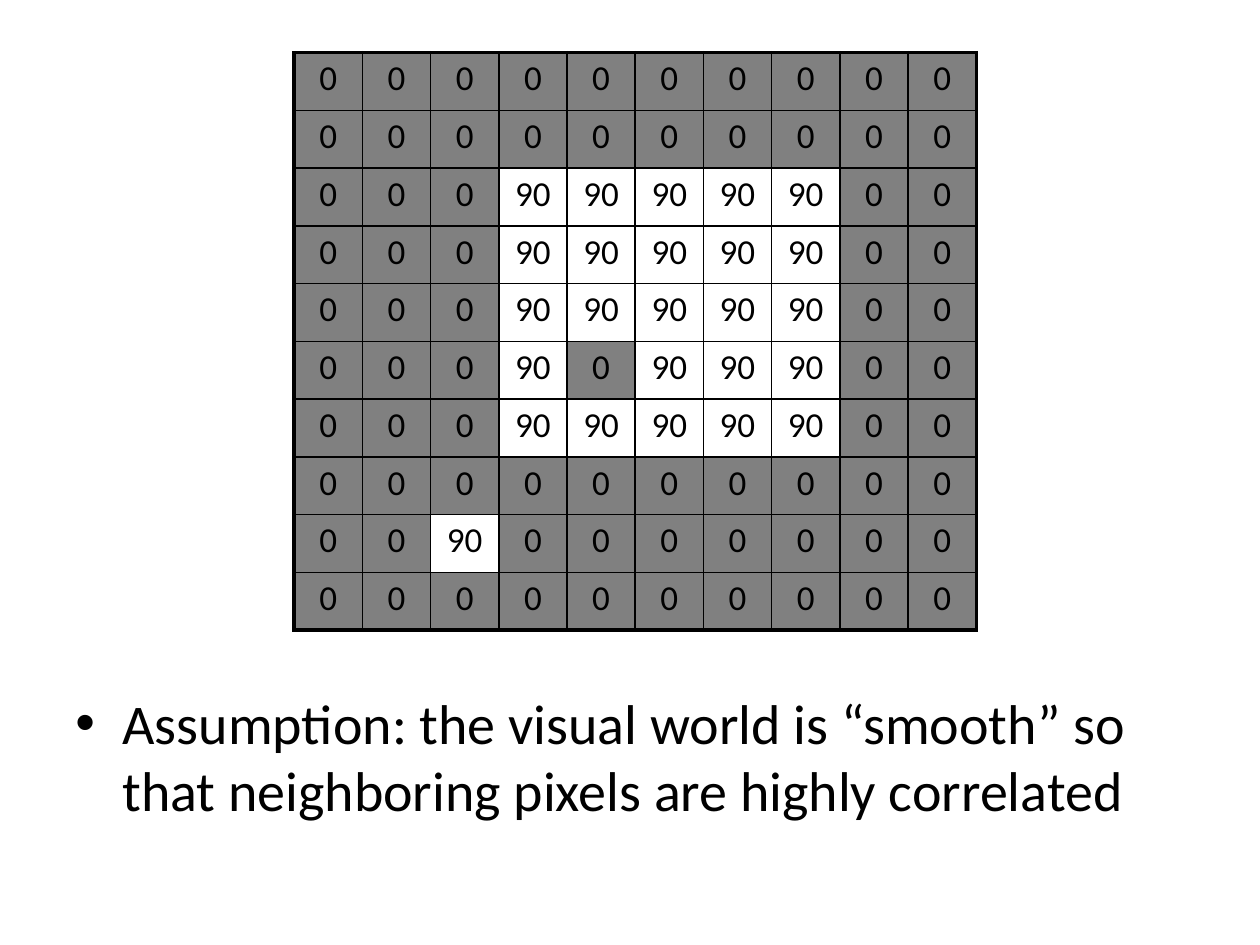
import pptx
import pptx.dml.color
import pptx.enum.text
import pptx.oxml
import pptx.oxml.ns
import pptx.util
from dataclasses import dataclass

Cm = pptx.util.Cm
Pt = pptx.util.Pt
Align = pptx.enum.text.PP_ALIGN


@dataclass(frozen=True)
class Theme:
    font: str = "Calibri"
    ink: str = "000000"
    dark: str = "808080"
    light: str = "FFFFFF"
    digit: int = 20
    body: int = 32
    thin: float = 1
    thick: float = 2.25


theme = Theme()
SIDE = 10
BLOCK = {(row, col) for row in range(2, 7) for col in range(3, 8)}
BRIGHT = (BLOCK - {(5, 4)}) | {(8, 2)}


def rgb(color):
    return pptx.dml.color.RGBColor.from_string(color)


def parse(xml):
    return pptx.oxml.parse_xml(xml.replace(" ", f' {pptx.oxml.ns.nsdecls("a")} ', 1))


def write(frame, text, size, align=Align.LEFT, bullet=None, indent=0):
    frame.word_wrap = True
    para = frame.paragraphs[0]
    para.alignment = align
    run = para.add_run()
    run.text = text
    run.font.name = theme.font
    run.font.size = Pt(size)
    run.font.color.rgb = rgb(theme.ink)
    if bullet:
        props = para._p.get_or_add_pPr()
        props.set("marL", str(Cm(indent)))
        props.set("indent", str(-Cm(indent)))
        props.append(parse('<a:buFont typeface="Arial"/>'))
        props.append(parse(f'<a:buChar char="{bullet}"/>'))


def edge(cell, side, width):
    line = parse(
        f'<a:ln{side} w="{Pt(width)}" cap="flat" cmpd="sng"><a:solidFill>'
        f'<a:srgbClr val="{theme.ink}"/></a:solidFill></a:ln{side}>'
    )
    cell._tc.get_or_add_tcPr().append(line)


def pixel(cell, row, col):
    outer = {"L": col == 0, "R": col == SIDE - 1, "T": row == 0, "B": row == SIDE - 1}
    for side, rim in outer.items():
        edge(cell, side, theme.thick if rim else theme.thin)
    lit = (row, col) in BRIGHT
    cell.fill.solid()
    cell.fill.fore_color.rgb = rgb(theme.light if lit else theme.dark)
    cell.margin_left = cell.margin_right = 0
    cell.margin_top = cell.margin_bottom = Cm(0.1)
    write(cell.text_frame, "90" if lit else "0", theme.digit, align=Align.CENTER)


def grid(slide, left, top, width, height):
    box = [Cm(size) for size in (left, top, width, height)]
    table = slide.shapes.add_table(SIDE, SIDE, *box).table
    table.first_row = table.horz_banding = False
    for col in table.columns:
        col.width = Cm(width / SIDE)
    for row in table.rows:
        row.height = Cm(height / SIDE)
    for row in range(SIDE):
        for col in range(SIDE):
            pixel(table.cell(row, col), row, col)


def claim(slide, left, top, width, height):
    box = [Cm(size) for size in (left, top, width, height)]
    frame = slide.shapes.add_textbox(*box).text_frame
    write(
        frame,
        "Assumption: the visual world is “smooth” so that neighboring pixels are highly correlated",
        theme.body,
        bullet="•",
        indent=0.95,
    )


def main():
    deck = pptx.Presentation()
    deck.slide_width, deck.slide_height = Cm(25.4), Cm(19.05)
    slide = deck.slides.add_slide(deck.slide_layouts[6])
    claim(slide, 1.27, 13.76, 22.86, 12.57)
    grid(slide, 5.93, 1.06, 13.76, 11.64)
    deck.save("out.pptx")


if __name__ == "__main__":
    main()
